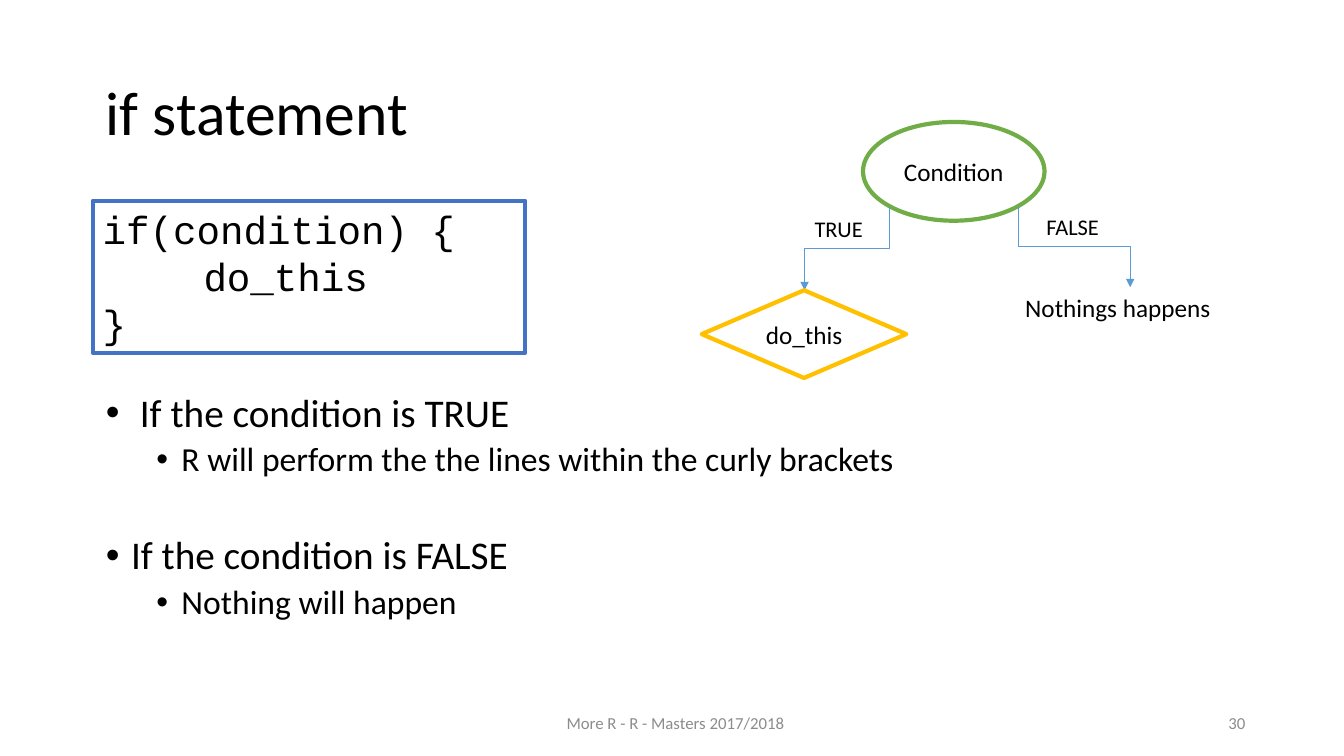
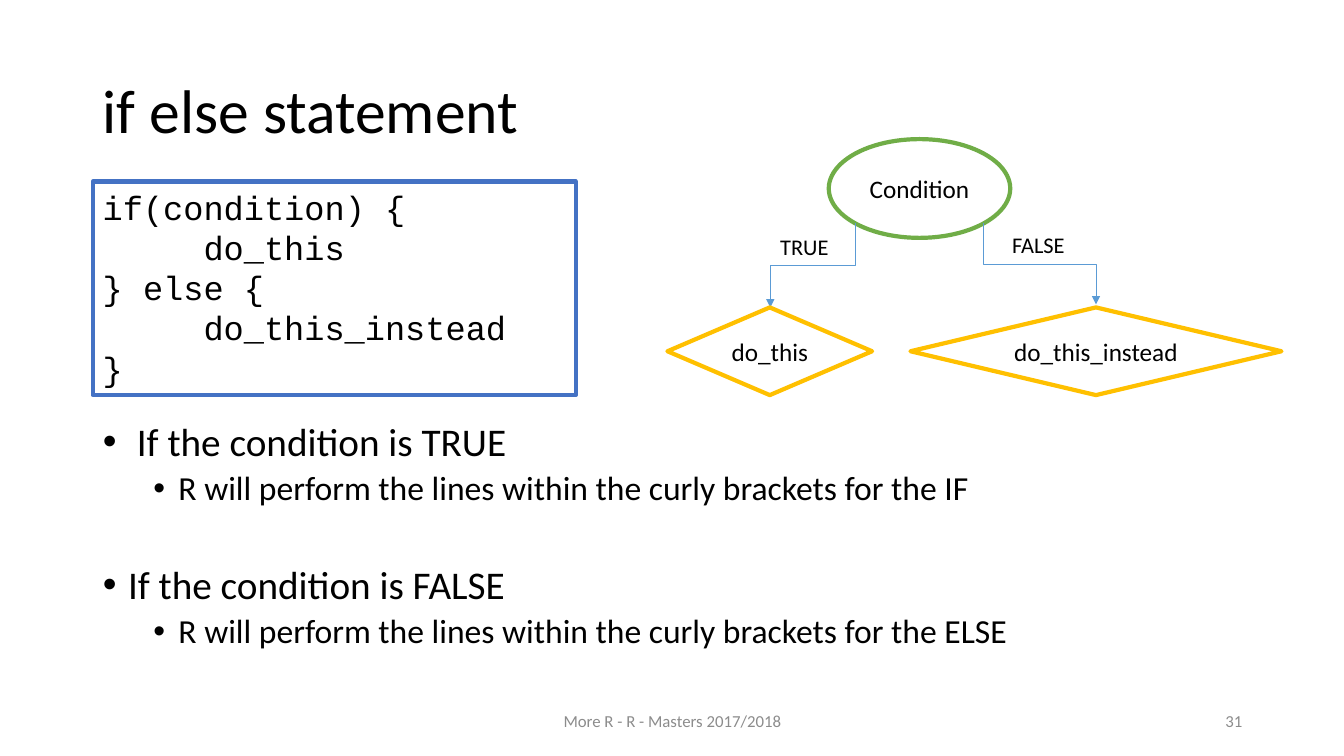
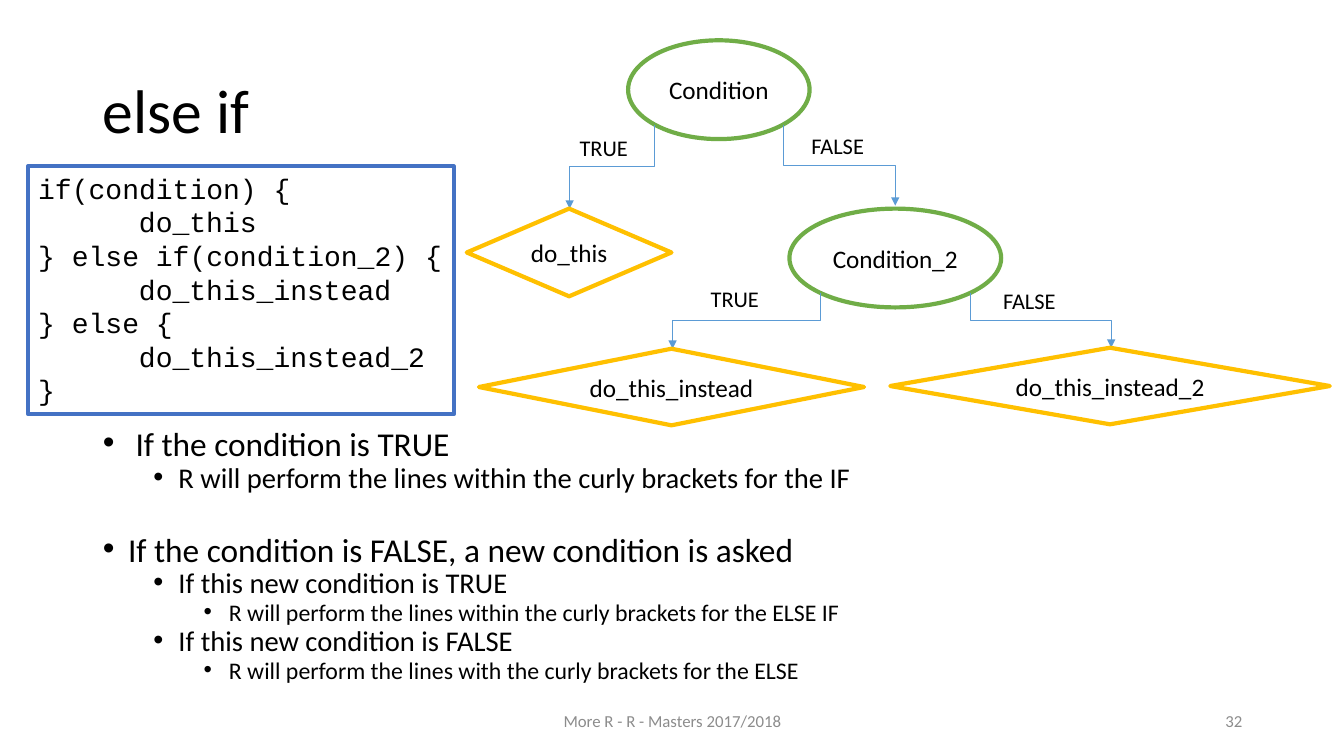
"""Build three slides on conditional statements in R."""
from lxml import etree
from pptx import Presentation
from pptx import util as u
from pptx.dml.color import RGBColor
from pptx.enum import shapes, text
from pptx.oxml import ns

FONT, CODE_FONT = "Calibri", "Courier New"
BLACK, WHITE, GREY = "000000", "FFFFFF", "8C8C8C"
BLUE, GREEN, GOLD, ARROW = "4472C4", "70AD47", "FFC000", "5B9BD5"
LEFT, CENTER, RIGHT = text.PP_ALIGN.LEFT, text.PP_ALIGN.CENTER, text.PP_ALIGN.RIGHT
TOP, MIDDLE = text.MSO_ANCHOR.TOP, text.MSO_ANCHOR.MIDDLE
FOOTER = "More R - R - Masters 2017/2018"
NODE_HEIGHT = 0.98
CORNER = 0.1464


def color(value):
    """Turn a hex string into a colour."""
    return RGBColor.from_string(value)


def place(shape, left, top, width, height):
    """Move and size a shape, in inches."""
    shape.left, shape.top = u.Inches(left), u.Inches(top)
    shape.width, shape.height = u.Inches(width), u.Inches(height)


def set_frame(frame, anchor=TOP, wrap=True):
    """Set wrapping and anchoring of a text frame."""
    frame.auto_size = text.MSO_AUTO_SIZE.NONE
    frame.word_wrap = wrap
    frame.vertical_anchor = anchor


def write(frame, words, size=18, font=FONT, fill=BLACK, align=LEFT,
          spacing=None, before=None, margin=0):
    """Fill the empty first paragraph or append one, and return it."""
    para = frame.paragraphs[0]
    if para.runs:
        para = frame.add_paragraph()
    para.alignment = align
    if spacing is not None:
        para.line_spacing = spacing
    if before is not None:
        para.space_before = u.Pt(before)
    if margin:
        para._p.get_or_add_pPr().set("marL", str(u.Inches(margin)))
    span = para.add_run()
    span.text = words
    span.font.size, span.font.name = u.Pt(size), font
    span.font.color.rgb = color(fill)
    return para


def add_bullet(para, level):
    """Give a paragraph a round bullet with a hanging indent."""
    para.level = level
    properties = para._p.get_or_add_pPr()
    properties.set("indent", str(u.Inches(-0.25)))
    etree.SubElement(properties, ns.qn("a:buFont"), typeface="Arial")
    etree.SubElement(properties, ns.qn("a:buChar"), char="•")


def add_label(slide, words, left, top, width, height=0.37, anchor=TOP, **style):
    """Add a text box with one paragraph."""
    box = slide.shapes.add_textbox(*map(u.Inches, (left, top, width, height)))
    set_frame(box.text_frame, anchor)
    write(box.text_frame, words, **style)


def add_outlined(slide, kind, outline, left, top, width, height):
    """Add a white shape with a thick outline."""
    shape = slide.shapes.add_shape(kind, *map(u.Inches, (left, top, width, height)))
    shape.shadow.inherit = False
    shape.fill.solid()
    shape.fill.fore_color.rgb = color(WHITE)
    shape.line.color.rgb = color(outline)
    shape.line.width = u.Pt(3)
    return shape


def add_node(slide, words, kind, outline, *position):
    """Add a flowchart node with a centred caption."""
    node = add_outlined(slide, kind, outline, *position)
    set_frame(node.text_frame, MIDDLE, wrap=False)
    write(node.text_frame, words, align=CENTER)


def add_action(slide, words, *position):
    """Add a diamond for an action."""
    add_node(slide, words, shapes.MSO_SHAPE.DIAMOND, GOLD, *position)


def add_code(slide, lines, size, *position):
    """Add a framed listing; each line is an indent in inches and its text."""
    box = add_outlined(slide, shapes.MSO_SHAPE.RECTANGLE, BLUE, *position)
    set_frame(box.text_frame)
    for margin, words in lines:
        write(box.text_frame, words, size=size, font=CODE_FONT, margin=margin)


def add_elbow(slide, start, end):
    """Add an arrow that runs down, sideways and down again."""
    across, down = end[0] - start[0], end[1] - start[1]
    left = (start[0] + end[0] - down) / 2
    top = (start[1] + end[1] - abs(across)) / 2
    arrow = slide.shapes.add_connector(
        shapes.MSO_CONNECTOR.ELBOW,
        *map(u.Inches, (left, top, left + down, top + abs(across))))
    arrow.line.color.rgb = color(ARROW)
    arrow.line.width = u.Pt(0.5)
    frame = arrow._element.spPr.find(ns.qn("a:xfrm"))
    frame.set("rot", str((90 if across < 0 else 270) * 60000))
    if across > 0:
        frame.set("flipH", "1")
    etree.SubElement(arrow.line._get_or_add_ln(), ns.qn("a:tailEnd"), type="triangle")
    etree.SubElement(arrow._element.spPr, ns.qn("a:effectLst"))


def add_decision(slide, words, left, top, width, true_end, false_end,
                 true_label, false_label):
    """Add a condition with its TRUE and FALSE branches."""
    add_node(slide, words, shapes.MSO_SHAPE.OVAL, GREEN, left, top, width, NODE_HEIGHT)
    exit_top = top + NODE_HEIGHT * (1 - CORNER)
    add_elbow(slide, (left + width * CORNER, exit_top), true_end)
    add_elbow(slide, (left + width * (1 - CORNER), exit_top), false_end)
    add_label(slide, "TRUE", *true_label, 0.88, size=16)
    add_label(slide, "FALSE", *false_label, 1.1, size=16)


def add_first_decision(slide, left, top):
    """Add the opening condition and its do_this action."""
    add_decision(slide, "Condition", left, top, 1.8,
                 (left - 0.58, top + 1.67), (left + 2.65, top + 1.64),
                 (left - 0.58, top + 0.88), (left + 1.72, top + 0.86))
    add_action(slide, "do_this", left - 1.6, top + 1.67, 2.03, 0.87)


def add_page(deck, number, title, left=0.92, top=0.4):
    """Add a slide with its title, footer and number."""
    slide = deck.slides.add_slide(deck.slide_layouts[1])
    heading = slide.shapes.title
    place(heading, left, top, 11.5, 1.45)
    set_frame(heading.text_frame, MIDDLE)
    write(heading.text_frame, title, size=44, spacing=0.9)
    small = {"size": 12, "fill": GREY, "anchor": MIDDLE}
    add_label(slide, FOOTER, left + 3.5, top + 6.55, 4.5, 0.4, align=CENTER, **small)
    add_label(slide, str(number), left + 8.5, top + 6.55, 3, 0.4, align=RIGHT, **small)
    return slide


def add_points(slide, points, left, top, height, sizes=(28, 24, 20),
               spacing=0.9, gap=41):
    """Fill the body with bullets; each point is a level and its text."""
    body = slide.placeholders[1]
    place(body, left, top, 11.5, height)
    set_frame(body.text_frame)
    for index, (level, words) in enumerate(points):
        before = 5 if level else gap if index else 10
        para = write(body.text_frame, words, size=sizes[level], spacing=spacing,
                     before=before, margin=0.25 + 0.5 * level)
        add_bullet(para, level)


def build_if(deck):
    """Build the slide on if."""
    slide = add_page(deck, 30, "if statement", 0.95, 0.42)
    add_points(slide, [
        (0, " If the condition is TRUE"),
        (1, "R will perform the the lines within the curly brackets"),
        (0, "If the condition is FALSE"),
        (1, "Nothing will happen"),
    ], 0.95, 3.85, 2.93)
    add_code(slide, [(0, "if(condition) {"), (1, "do_this"), (0, "}")],
             28, 0.92, 1.99, 4.29, 1.51)
    add_first_decision(slide, 8.56, 1.21)
    add_label(slide, "Nothings happens", 10.07, 2.85, 2.29, 0.4)


def build_if_else(deck):
    """Build the slide on if and else."""
    slide = add_page(deck, 31, "if else statement")
    add_points(slide, [
        (0, " If the condition is TRUE"),
        (1, "R will perform the lines within the curly brackets for the IF"),
        (0, "If the condition is FALSE"),
        (1, "R will perform the lines within the curly brackets for the ELSE"),
    ], 0.92, 4.14, 2.62)
    add_code(slide, [
        (0, "if(condition) {"), (1, "do_this"),
        (0, "} else {"), (1, "do_this_instead"), (0, "}"),
    ], 24, 0.92, 1.8, 4.79, 2.12)
    add_first_decision(slide, 8.22, 1.38)
    add_action(slide, "do_this_instead", 9.03, 3.05, 3.68, 0.87)


def build_else_if(deck):
    """Build the slide on else if."""
    slide = add_page(deck, 32, "else if")
    add_points(slide, [
        (0, " If the condition is TRUE"),
        (1, "R will perform the lines within the curly brackets for the IF"),
        (0, "If the condition is FALSE, a new condition is asked"),
        (1, "If this new condition is TRUE"),
        (2, "R will perform the lines within the curly brackets for the ELSE IF"),
        (1, "If this new condition is FALSE"),
        (2, "R will perform the lines with the curly brackets for the ELSE"),
    ], 0.92, 4.26, 2.8, sizes=(23.8, 20.4, 17), spacing=0.7, gap=33)
    add_code(slide, [
        (0, "if(condition) {"), (1, "do_this"),
        (0, "} else if(condition_2) {"), (1, "do_this_instead"),
        (0, "} else {"), (1, "do_this_instead_2"), (0, "}"),
    ], 20, 0.28, 1.65, 4.22, 2.46)
    add_first_decision(slide, 6.23, 0.4)
    add_decision(slide, "Condition_2", 7.83, 2.07, 2.1, (6.67, 3.46), (11.02, 3.45),
                 (6.95, 2.78), (9.85, 2.8))
    add_action(slide, "do_this_instead", 4.75, 3.46, 3.82, 0.76)
    add_action(slide, "do_this_instead_2", 8.83, 3.45, 4.36, 0.76)


def main():
    """Build and save the deck."""
    deck = Presentation()
    deck.slide_width, deck.slide_height = u.Inches(13.33), u.Inches(7.5)
    for build in (build_if, build_if_else, build_else_if):
        build(deck)
    deck.save("out.pptx")


if __name__ == "__main__":
    main()
